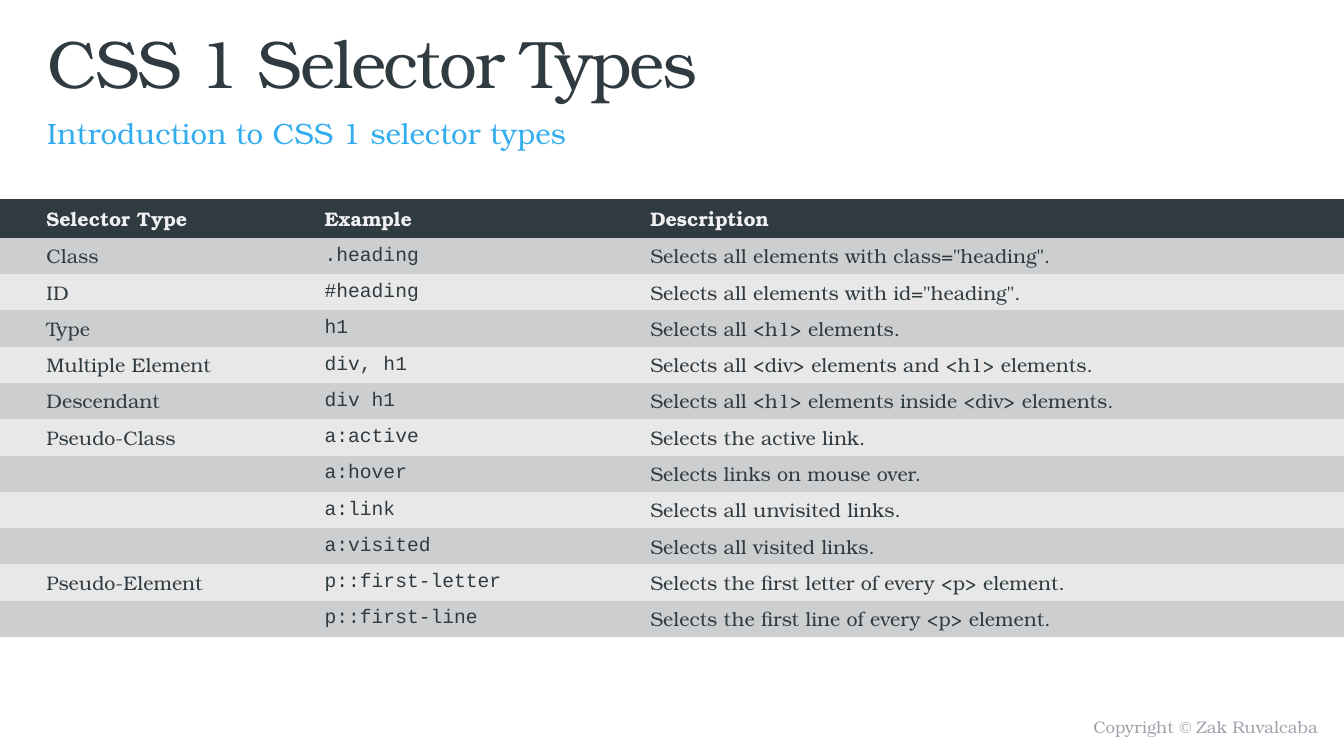
from pptx import Presentation
from pptx.dml.color import RGBColor
from pptx.enum.text import MSO_ANCHOR as Anchor, PP_ALIGN as Align
from pptx.util import Inches, Pt

SLATE = RGBColor(0x30, 0x3B, 0x41)
SKY = RGBColor(0x34, 0xAD, 0xEF)
MIST = RGBColor(0xF0, 0xF0, 0xF2)
MUTED = RGBColor(0xA1, 0xA1, 0xAD)
DARK_BAND = RGBColor(0xCD, 0xCE, 0xCF)
LIGHT_BAND = RGBColor(0xE8, 0xE8, 0xE9)

SERIF = "TeX Gyre Bonum"
MONO = "Courier New"
COLUMN_WIDTHS = (3.12, 3.23, 6.98)
HEADER_HEIGHT = 0.39
ROW_HEIGHT = 0.36

HEADINGS = ("Selector Type", "Example", "Description")
SELECTORS = (
    ("Class", ".heading", 'Selects all elements with class="heading".'),
    ("ID", "#heading", 'Selects all elements with id="heading".'),
    ("Type", "h1", "Selects all <h1> elements."),
    ("Multiple Element", "div, h1", "Selects all <div> elements and <h1> elements."),
    ("Descendant", "div h1", "Selects all <h1> elements inside <div> elements."),
    ("Pseudo-Class", "a:active", "Selects the active link."),
    ("", "a:hover", "Selects links on mouse over."),
    ("", "a:link", "Selects all unvisited links."),
    ("", "a:visited", "Selects all visited links."),
    ("Pseudo-Element", "p::first-letter", "Selects the first letter of every <p> element."),
    ("", "p::first-line", "Selects the first line of every <p> element."),
)


def add_text(paragraph, text, size=14, color=SLATE, font=SERIF, bold=False, spacing=0):
    """Append a formatted run to a paragraph."""
    run = paragraph.add_run()
    run.text = text
    run.font.size = Pt(size)
    run.font.color.rgb = color
    run.font.name = font
    run.font.bold = bold
    if spacing:
        run.font._element.set("spc", str(round(spacing * 100)))


def place(shape, left, top, width, height):
    """Set a shape's position and size in inches."""
    shape.left, shape.top = Inches(left), Inches(top)
    shape.width, shape.height = Inches(width), Inches(height)


def prepare_frame(shape, anchor, align=Align.LEFT, top_margin=0.05):
    """Set up a text frame and return its first paragraph."""
    frame = shape.text_frame
    frame.word_wrap = True
    frame.vertical_anchor = anchor
    frame.margin_top = Inches(top_margin)
    paragraph = frame.paragraphs[0]
    paragraph.alignment = align
    return paragraph


def add_title(slide):
    """Fill the title placeholder."""
    place(slide.shapes.title, 0.37, 0.21, 11.76, 0.79)
    heading = prepare_frame(slide.shapes.title, Anchor.TOP, top_margin=0)
    heading.line_spacing = 1.0
    add_text(heading, "CSS 1 Selector Types", size=48, spacing=-1.5)


def add_subtitle(slide):
    """Add the line under the title."""
    box = slide.shapes.add_textbox(Inches(0.37), Inches(0.99), Inches(11.76), Inches(0.39))
    subtitle = prepare_frame(box, Anchor.TOP)
    subtitle.line_spacing = 1.3
    add_text(subtitle, "Introduction to CSS 1 selector types", size=21, color=SKY)


def add_copyright(slide):
    """Add the copyright line at the bottom right."""
    box = slide.shapes.add_textbox(Inches(6.77), Inches(7.06), Inches(6.4), Inches(0.31))
    notice = prepare_frame(box, Anchor.MIDDLE, Align.RIGHT)
    for text, font in (("Copyright ", SERIF), ("© ", "Times New Roman"), ("Zak Ruvalcaba", SERIF)):
        add_text(notice, text, size=12, color=MUTED, font=font)


def fill_row(row, texts, band, fonts=(SERIF, MONO, SERIF), **text_format):
    """Fill a table row with texts on a coloured band."""
    for index, (cell, text, font) in enumerate(zip(row.cells, texts, fonts)):
        cell.fill.solid()
        cell.fill.fore_color.rgb = band
        cell.vertical_anchor = Anchor.MIDDLE
        cell.margin_left = Inches(0.1 if index else 0.46)
        cell.margin_top = cell.margin_bottom = 0
        if text:
            add_text(cell.text_frame.paragraphs[0], text, font=font, **text_format)


def add_selector_table(slide):
    """Add the table of selector types."""
    height = HEADER_HEIGHT + ROW_HEIGHT * len(SELECTORS)
    table = slide.shapes.add_table(
        len(SELECTORS) + 1, len(HEADINGS), 0, Inches(1.97), Inches(13.33), Inches(height)
    ).table
    for column, width in zip(table.columns, COLUMN_WIDTHS):
        column.width = Inches(width)
    header, *body = table.rows
    header.height = Inches(HEADER_HEIGHT)
    fill_row(header, HEADINGS, SLATE, fonts=(SERIF,) * 3, color=MIST, bold=True)
    for index, (row, selector) in enumerate(zip(body, SELECTORS)):
        row.height = Inches(ROW_HEIGHT)
        fill_row(row, selector, LIGHT_BAND if index % 2 else DARK_BAND)
    borderless_style = "{2D5ABB26-0587-4C30-8999-92F81FD0307C}"
    table._tbl.tblPr.find("{*}tableStyleId").text = borderless_style


def main():
    """Build the slide and save it."""
    deck = Presentation()
    deck.slide_width, deck.slide_height = Inches(13.33), Inches(7.5)
    slide = deck.slides.add_slide(deck.slide_layouts[5])
    add_copyright(slide)
    add_title(slide)
    add_subtitle(slide)
    add_selector_table(slide)
    deck.save("out.pptx")


if __name__ == "__main__":
    main()
